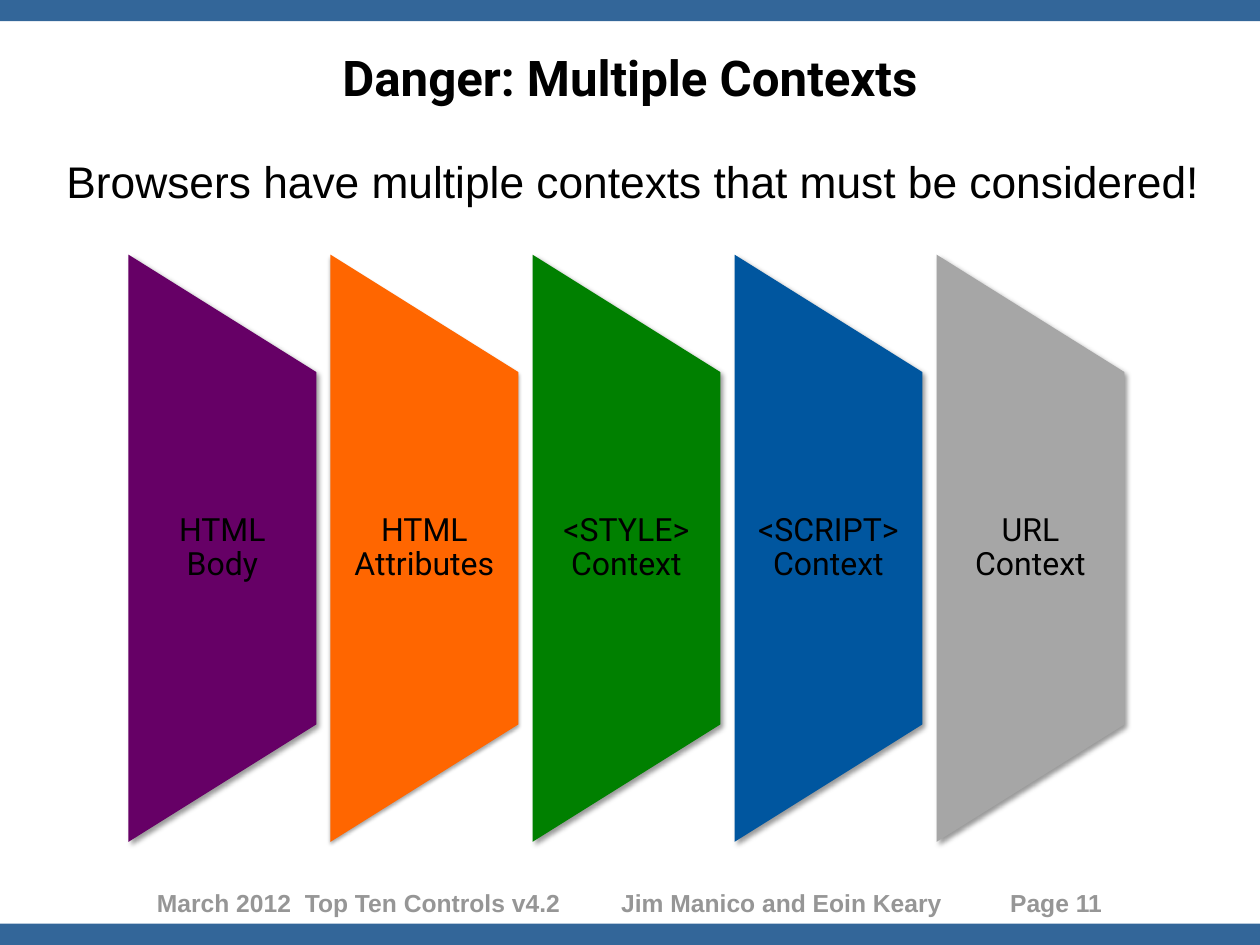
from dataclasses import dataclass

from lxml import etree
from pptx import Presentation
from pptx.dml.color import RGBColor
from pptx.enum.shapes import MSO_SHAPE
from pptx.enum.text import MSO_ANCHOR, MSO_AUTO_SIZE, PP_ALIGN
from pptx.oxml.ns import qn
from pptx.shapes.autoshape import Shape
from pptx.slide import Slide
from pptx.util import Inches, Pt

RECTANGLE = MSO_SHAPE.RECTANGLE
PANEL_SHAPE = MSO_SHAPE.FLOWCHART_MANUAL_OPERATION
TOP, MIDDLE = MSO_ANCHOR.TOP, MSO_ANCHOR.MIDDLE
LEFT, CENTER = PP_ALIGN.LEFT, PP_ALIGN.CENTER
NO_AUTOFIT = MSO_AUTO_SIZE.NONE
TITLE_ONLY_LAYOUT = 5


@dataclass(frozen=True)
class Theme:
    heading_font: str = "Roboto"
    body_font: str = "Arial"
    title_size: int = 40
    message_size: int = 36
    label_size: int = 26
    footer_size: int = 20
    text: str = "000000"
    footer: str = "969696"
    band: str = "336699"


@dataclass(frozen=True)
class Shadow:
    opacity: int = 40
    blur: float = 4
    distance: float = 3
    angle: int = 45


@dataclass(frozen=True)
class Context:
    label: str
    color: str
    shadow: Shadow = Shadow()


THEME = Theme()
SLIDE_WIDTH, SLIDE_HEIGHT = 14.22, 10.67
BAND_HEIGHT = 0.24
PANEL_LEFT, PANEL_PITCH, PANEL_CENTER = 1.45, 2.28, 6.19
PANEL_WIDTH, PANEL_HEIGHT, LABEL_HEIGHT = 2.12, 6.63, 3.98
FOOTER_LEFT = 1.77
FOOTER_PARTS = ("March 2012", "Top Ten Controls v4.2", "Jim Manico and Eoin Keary", "Page 11")
FOOTER_TABS = (1.67, 5.24, 9.63)
CONTEXTS = (
    Context("HTML Body", "660066"),
    Context("HTML Attributes", "FF6600", Shadow(35, 3.1, 1.8, 90)),
    Context("<STYLE> Context", "008000"),
    Context("<SCRIPT> Context", "00569F"),
    Context("URL Context", "A6A6A6"),
)


def write_text(shape: Shape, text: str, *, size: int, font: str, color: str = THEME.text,
               bold: bool = False, align: PP_ALIGN = LEFT, anchor: MSO_ANCHOR = TOP,
               side_inset: float = 0.14, top_inset: float = 0.07,
               wrap: bool = True, line_spacing: float = 1.0) -> None:
    frame = shape.text_frame
    frame.auto_size = NO_AUTOFIT
    frame.word_wrap = wrap
    frame.vertical_anchor = anchor
    frame.margin_left = frame.margin_right = Inches(side_inset)
    frame.margin_top = frame.margin_bottom = Inches(top_inset)
    paragraph = frame.paragraphs[0]
    paragraph.alignment = align
    paragraph.line_spacing = line_spacing
    run = paragraph.add_run()
    run.text = text
    run.font.name = font
    run.font.size = Pt(size)
    run.font.bold = bold
    run.font.color.rgb = RGBColor.from_string(color)


def add_text_box(slide: Slide, left: float, top: float, width: float, height: float) -> Shape:
    return slide.shapes.add_textbox(Inches(left), Inches(top), Inches(width), Inches(height))


def add_filled_shape(slide: Slide, kind: MSO_SHAPE, left: float, top: float,
                     width: float, height: float, color: str) -> Shape:
    shape = slide.shapes.add_shape(kind, Inches(left), Inches(top), Inches(width), Inches(height))
    shape.fill.solid()
    shape.fill.fore_color.rgb = RGBColor.from_string(color)
    shape.line.fill.background()
    shape.shadow.inherit = False
    return shape


def add_shadow(shape: Shape, shadow: Shadow) -> None:
    effects = shape._element.spPr.find(qn("a:effectLst"))
    outer = etree.SubElement(effects, qn("a:outerShdw"), blurRad=str(Pt(shadow.blur)),
                             dist=str(Pt(shadow.distance)), dir=str(shadow.angle * 60000),
                             rotWithShape="0")
    color = etree.SubElement(outer, qn("a:srgbClr"), val="000000")
    etree.SubElement(color, qn("a:alpha"), val=str(shadow.opacity * 1000))


def add_context(slide: Slide, context: Context, left: float) -> None:
    # The panel is turned on its side around the center of its label
    center = left + PANEL_WIDTH / 2
    panel = add_filled_shape(slide, PANEL_SHAPE, center - PANEL_HEIGHT / 2,
                             PANEL_CENTER - PANEL_WIDTH / 2, PANEL_HEIGHT, PANEL_WIDTH,
                             context.color)
    panel.rotation = 270
    add_shadow(panel, context.shadow)
    label = add_text_box(slide, left, PANEL_CENTER - LABEL_HEIGHT / 2, PANEL_WIDTH, LABEL_HEIGHT)
    write_text(label, context.label, size=THEME.label_size, font=THEME.heading_font,
               align=CENTER, anchor=MIDDLE, side_inset=0.18, top_inset=0, line_spacing=0.9)


def add_footer(slide: Slide) -> None:
    footer = add_text_box(slide, FOOTER_LEFT, 9.96, SLIDE_WIDTH - FOOTER_LEFT, 0.48)
    write_text(footer, "\t".join(FOOTER_PARTS), size=THEME.footer_size, font=THEME.body_font,
               color=THEME.footer, bold=True, side_inset=0)
    properties = footer.text_frame.paragraphs[0]._p.get_or_add_pPr()
    tab_list = etree.SubElement(properties, qn("a:tabLst"))
    for position in FOOTER_TABS:
        etree.SubElement(tab_list, qn("a:tab"), pos=str(Inches(position)), algn="l")


def main() -> None:
    presentation = Presentation()
    presentation.slide_width = Inches(SLIDE_WIDTH)
    presentation.slide_height = Inches(SLIDE_HEIGHT)
    slide = presentation.slides.add_slide(presentation.slide_layouts[TITLE_ONLY_LAYOUT])

    # Bands and footer
    for top in (0, SLIDE_HEIGHT - BAND_HEIGHT):
        add_filled_shape(slide, RECTANGLE, 0, top, SLIDE_WIDTH, BAND_HEIGHT, THEME.band)
    add_footer(slide)

    # Title
    title = slide.shapes.title
    title.left, title.top = Inches(0), Inches(0.41)
    title.width, title.height = Inches(SLIDE_WIDTH), Inches(0.92)
    write_text(title, "Danger: Multiple Contexts", size=THEME.title_size,
               font=THEME.heading_font, bold=True, align=CENTER, anchor=MIDDLE)

    # Context panels
    for index, context in enumerate(CONTEXTS):
        add_context(slide, context, PANEL_LEFT + index * PANEL_PITCH)

    # Message
    message = add_text_box(slide, 0.61, 1.67, 13.2, 0.75)
    write_text(message, "Browsers have multiple contexts that must be considered!",
               size=THEME.message_size, font=THEME.body_font, wrap=False)

    presentation.save("out.pptx")


if __name__ == "__main__":
    main()
